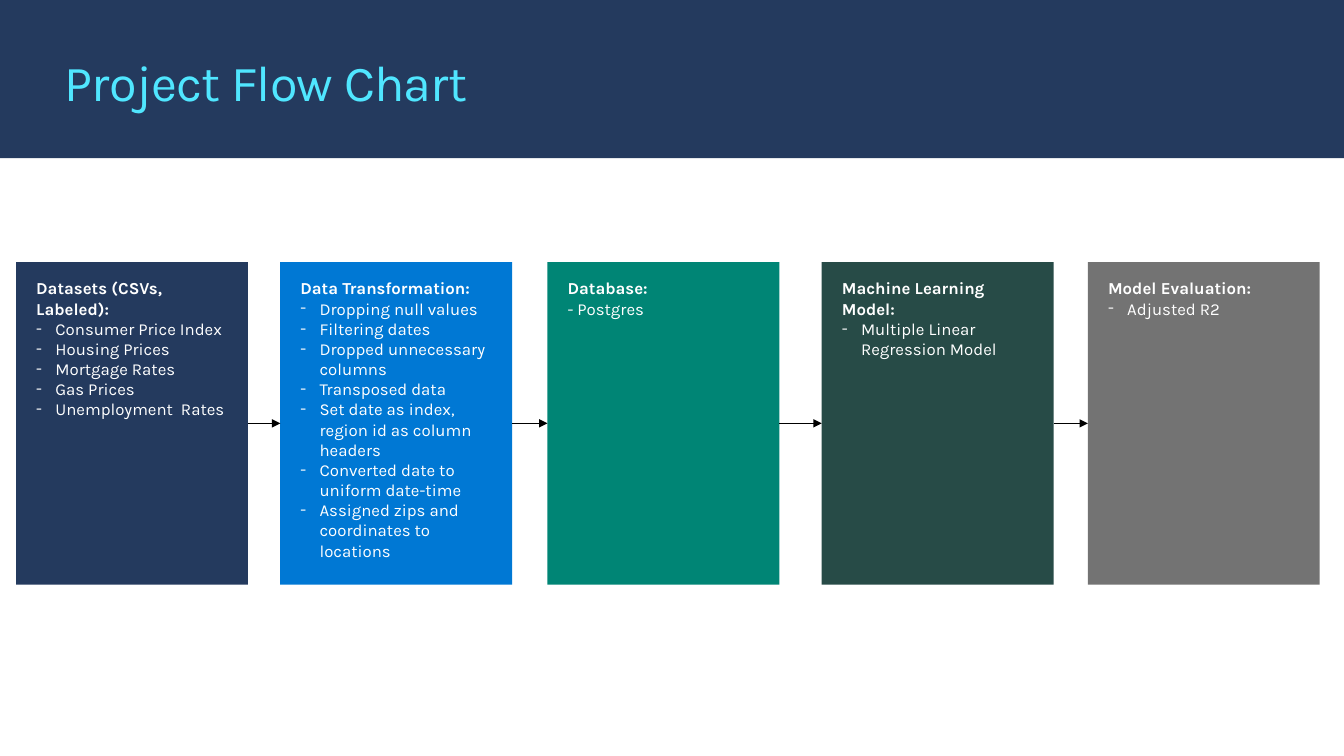
from pptx import Presentation
from pptx.dml.color import RGBColor
from pptx.enum.shapes import MSO_CONNECTOR, MSO_SHAPE
from pptx.enum.text import MSO_ANCHOR, PP_ALIGN
from pptx.oxml.ns import qn
from pptx.util import Inches, Pt
from lxml.etree import SubElement

WIDE, HIGH = 13.33, 7.5
FONT = "Karla"
NAVY, CYAN, WHITE, BLACK = "243A5E", "50E6FF", "FFFFFF", "000000"
CARD_W, INDENT = 2.3, 0.19

# Left edge, fill, heading, items, automatic dashes
STEPS = [
    (0.16, NAVY, "Datasets (CSVs, Labeled):",
     ["Consumer Price Index", "Housing Prices", "Mortgage Rates",
      "Gas Prices", "Unemployment  Rates"], True),
    (2.78, "0078D4", "Data Transformation:",
     ["Dropping null values", "Filtering dates",
      "Dropped unnecessary columns", "Transposed data",
      "Set date as index, region id as column headers",
      "Converted date to uniform date-time",
      "Assigned zips and coordinates to locations"], True),
    (5.43, "008575", "Database:", ["- Postgres"], False),
    (8.15, "274B47", "Machine Learning Model:",
     ["Multiple Linear Regression Model"], True),
    (10.79, "737373", "Model Evaluation:", ["Adjusted R2"], True),
]


def color(code):
    return RGBColor.from_string(code)


def add_run(para, text, size, code, bold=False):
    run = para.add_run()
    run.text = text
    font = run.font
    font.name, font.size, font.bold = FONT, Pt(size), bold
    font.color.rgb = color(code)
    return run


def set_frame(frame, side, top, anchor):
    frame.word_wrap = True
    frame.margin_left = frame.margin_right = Inches(side)
    frame.margin_top = frame.margin_bottom = Inches(top)
    frame.vertical_anchor = anchor


def add_rect(slide, box, fill):
    rect = slide.shapes.add_shape(MSO_SHAPE.RECTANGLE, *map(Inches, box))
    rect.shadow.inherit = False
    rect.fill.solid()
    rect.fill.fore_color.rgb = color(fill)
    rect.line.fill.background()
    return rect


def add_dash(para):
    props = para._p.get_or_add_pPr()
    props.set("marL", str(Inches(INDENT)))
    props.set("indent", str(-Inches(INDENT)))
    SubElement(props, qn("a:buFont"), typeface=FONT)
    SubElement(props, qn("a:buChar"), char="-")


def add_header(slide, box):
    left, top, width, height = box
    add_rect(slide, box, NAVY)
    title = slide.shapes.add_textbox(
        Inches(left + 0.64), Inches(top + 0.5),
        Inches(width - 1.28), Inches(0.61))
    frame = title.text_frame
    set_frame(frame, 0, 0, MSO_ANCHOR.MIDDLE)
    run = add_run(frame.paragraphs[0], "Project Flow Chart", 36, CYAN)
    run._r.get_or_add_rPr().set("spc", "-50")


def add_card(slide, box, fill, head, items, dashed):
    card = add_rect(slide, box, fill)
    frame = card.text_frame
    set_frame(frame, 0.2, 0.16, MSO_ANCHOR.TOP)
    para = frame.paragraphs[0]
    para.alignment = PP_ALIGN.LEFT
    add_run(para, head, 12, WHITE, True)
    for item in items:
        para = frame.add_paragraph()
        para.alignment = PP_ALIGN.LEFT
        if dashed:
            add_dash(para)
        add_run(para, item, 12, WHITE)
    return card


def add_arrow(slide, start, end):
    arrow = slide.shapes.add_connector(MSO_CONNECTOR.STRAIGHT, 0, 0, 0, 0)
    arrow.begin_connect(start, 3)
    arrow.end_connect(end, 1)
    arrow.line.color.rgb = color(BLACK)
    arrow.line.width = Pt(0.75)
    SubElement(arrow.line._get_or_add_ln(), qn("a:tailEnd"), type="triangle")
    SubElement(arrow._element.spPr, qn("a:effectLst"))


def add_flow(slide, top, height):
    cards = [add_card(slide, (left, top, CARD_W, height), *rest)
             for left, *rest in STEPS]
    for start, end in zip(cards, cards[1:]):
        add_arrow(slide, start, end)


def main():
    deck = Presentation()
    deck.slide_width, deck.slide_height = Inches(WIDE), Inches(HIGH)
    slide = deck.slides.add_slide(deck.slide_layouts[6])
    slide.background.fill.solid()
    slide.background.fill.fore_color.rgb = color(WHITE)
    add_header(slide, (0, 0, WIDE, 1.57))
    add_flow(slide, 2.6, 3.2)
    deck.save("out.pptx")


if __name__ == "__main__":
    main()
